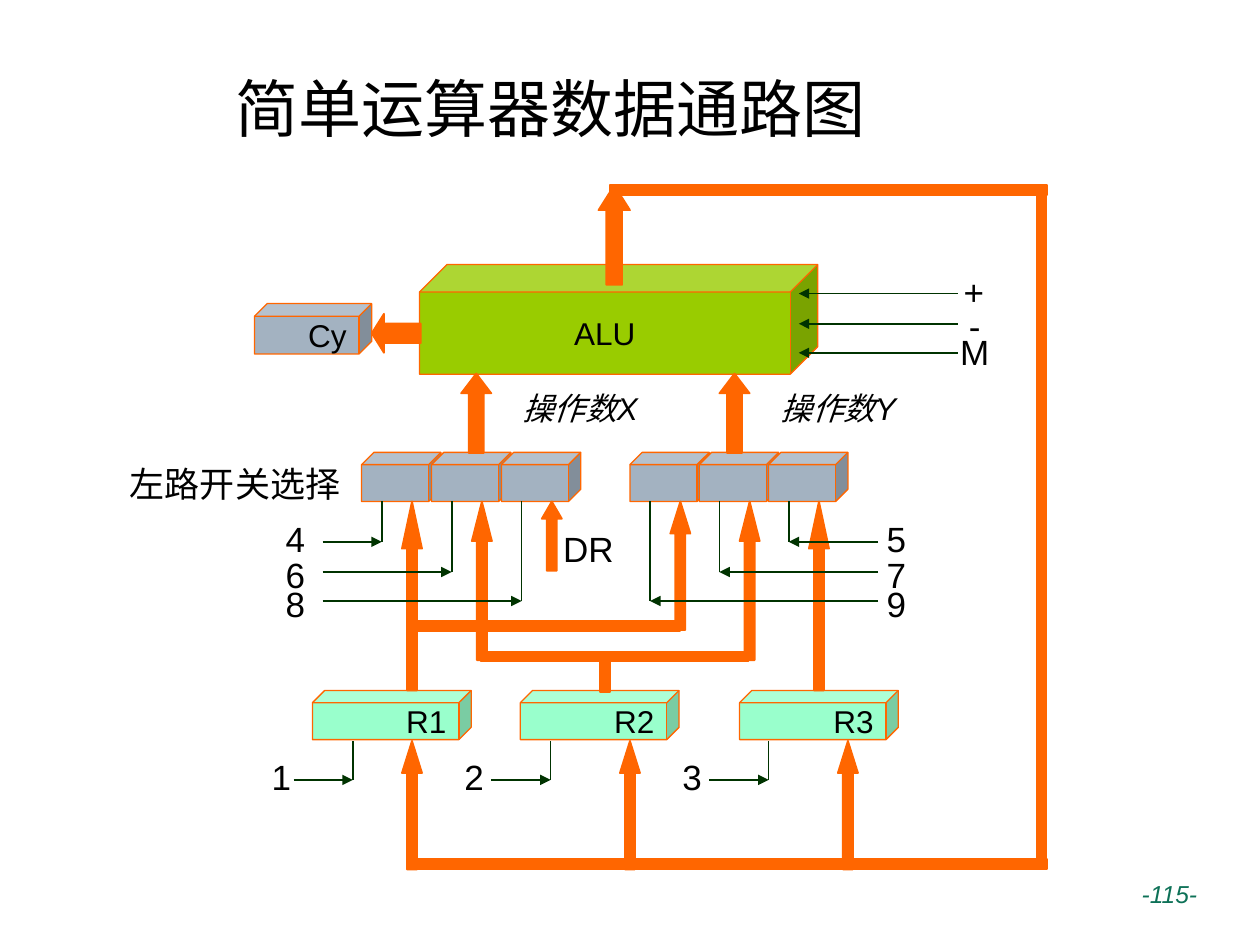
from dataclasses import dataclass

import pptx
import pptx.dml.color
import pptx.enum.shapes
import pptx.enum.text
import pptx.oxml.ns
import pptx.util
from lxml import etree

COLUMNS, ROWS = 100, 75
COLORS = {
    "alu": "99CC00",
    "switch": "A3B2C1",
    "register": "99FFCC",
    "bus": "FF6600",
    "wire": "003300",
    "text": "000000",
    "page": "0D7157",
}
PRESET = pptx.enum.shapes.MSO_SHAPE
ALIGN = pptx.enum.text.PP_ALIGN
ANCHOR = pptx.enum.text.MSO_ANCHOR
CJK_FONT = "Noto Sans CJK JP"

presentation = pptx.Presentation()
presentation.slide_width = pptx.util.Inches(10)
presentation.slide_height = pptx.util.Inches(7.5)
slide = presentation.slides.add_slide(presentation.slide_layouts[6])
CELL_WIDTH = presentation.slide_width / COLUMNS
CELL_HEIGHT = presentation.slide_height / ROWS


@dataclass(frozen=True)
class Box:
    column: float
    row: float
    columns: float
    rows: float

    def emu(self) -> tuple[int, int, int, int]:
        return (round(self.column * CELL_WIDTH), round(self.row * CELL_HEIGHT),
                round(self.columns * CELL_WIDTH), round(self.rows * CELL_HEIGHT))


@dataclass(frozen=True)
class Block:
    box: Box
    color: str
    text: str = ""
    align: ALIGN = ALIGN.RIGHT


@dataclass(frozen=True)
class Control:
    label: str
    label_column: float
    label_row: float
    start: float
    end: float
    row: float
    top: float


def rgb(name: str) -> pptx.dml.color.RGBColor:
    return pptx.dml.color.RGBColor.from_string(COLORS[name])


def write(shape, text: str, *, size=20, color="text", font="Arial", italic=False,
          align=ALIGN.RIGHT, anchor=ANCHOR.TOP, wrap=False) -> None:
    frame = shape.text_frame
    frame.word_wrap = wrap
    frame.vertical_anchor = anchor
    paragraph = frame.paragraphs[0]
    paragraph.alignment = align
    run = paragraph.add_run()
    run.text = text
    run.font.size = pptx.util.Pt(size)
    run.font.name = font
    run.font.italic = italic
    run.font.color.rgb = rgb(color)
    east_asian = etree.SubElement(run.font._element, pptx.oxml.ns.qn("a:ea"))
    east_asian.set("typeface", CJK_FONT)


def label(box: Box, text: str, **text_format) -> None:
    write(slide.shapes.add_textbox(*box.emu()), text, **text_format)


def add_shape(preset: PRESET, box: Box, color: str, line_width: float):
    shape = slide.shapes.add_shape(preset, *box.emu())
    shape.shadow.inherit = False
    shape.fill.solid()
    shape.fill.fore_color.rgb = rgb(color)
    shape.line.color.rgb = rgb("bus")
    shape.line.width = pptx.util.Pt(line_width)
    return shape


def add_block(block: Block) -> None:
    shape = add_shape(PRESET.CUBE, block.box, block.color, 0.75)
    shape.adjustments[0] = 0.25
    if block.text:
        write(shape, block.text, size=18, align=block.align, anchor=ANCHOR.MIDDLE)


def add_arrow(box: Box, preset: PRESET = PRESET.UP_ARROW) -> None:
    shape = add_shape(preset, box, "bus", 1)
    shape.adjustments[0] = 0.5
    shape.adjustments[1] = 0.25 * max(box.columns, box.rows) / min(box.columns, box.rows)


def add_wire(start: tuple[float, float], end: tuple[float, float], arrow: bool = False) -> None:
    points = [round(value * cell) for point in (start, end)
              for value, cell in zip(point, (CELL_WIDTH, CELL_HEIGHT))]
    wire = slide.shapes.add_connector(pptx.enum.shapes.MSO_CONNECTOR.STRAIGHT, *points)
    wire.line.color.rgb = rgb("wire")
    wire.line.width = pptx.util.Pt(1)
    if arrow:
        tail = etree.SubElement(wire.line._get_or_add_ln(), pptx.oxml.ns.qn("a:tailEnd"))
        tail.set("type", "triangle")
    etree.SubElement(wire._element.spPr, pptx.oxml.ns.qn("a:effectLst"))


def add_control(control: Control) -> None:
    corner = (control.end, control.row)
    add_wire((control.start, control.row), corner, arrow=True)
    add_wire(corner, (control.end, control.top))
    label(Box(control.label_column, control.label_row, 3.6, 4.3), control.label)


SWITCH_BOTTOM = 39.8
REGISTER_BOTTOM = 58.8
left_switches = [28.7 + 5.55 * index for index in range(3)]
right_switches = [50 + 5.5 * index for index in range(3)]
register_columns = (24.8, 41.3, 58.7)
load_columns = [31.9 + 17.3 * index for index in range(3)]

blocks = [
    Block(Box(33.3, 21, 31.6, 8.7), "alu", "ALU", ALIGN.CENTER),
    Block(Box(20.2, 24.1, 9.3, 4), "switch", "Cy"),
    *(Block(Box(column, 35.9, 6.3, 3.9), "switch")
      for column in left_switches + right_switches),
    *(Block(Box(column, 54.8, 12.6, 3.9), "register", f"R{number}")
      for number, column in enumerate(register_columns, 1)),
]
for block in blocks:
    add_block(block)

add_arrow(Box(29.5, 24.9, 3.9, 3.1), PRESET.LEFT_ARROW)
add_arrow(Box(47.5, 14.7, 2.5, 7.9))
for column in (36.6, 57.1):
    add_arrow(Box(column, 29.65, 2.4, 6.3))
for column, rows in zip(left_switches + right_switches, (15, 12.6, 5.5, 10.2, 12.6, 15)):
    add_arrow(Box(column + 3.2, SWITCH_BOTTOM, 1.6, rows))
for column in load_columns:
    add_arrow(Box(column, REGISTER_BOTTOM, 1.6, 10.2))

buses = (
    Box(48.4, 14.7, 34.7, 0.8),
    Box(82.25, 15.45, 0.8, 52.7),
    Box(32.7, 68.2, 50.4, 0.8),
    Box(32.7, 49.3, 21.3, 0.8),
    Box(38.2, 51.7, 21.2, 0.8),
    Box(47.6, 51.7, 0.8, 3.2),
)
for bus in buses:
    add_shape(PRESET.RECTANGLE, bus, "bus", 1)

switch_rows = ((43, 40.6), (45.4, 43.4), (47.7, 45.7))
for (row, label_row), left, right, left_name, right_name in zip(
        switch_rows, left_switches, reversed(right_switches), "468", "579"):
    add_control(Control(left_name, 21.6, label_row, 25.6, left + 1.6, row, SWITCH_BOTTOM))
    add_control(Control(right_name, 69.3, label_row, 69.7, right + 1.6, row, SWITCH_BOTTOM))
for name, label_column, end in zip("123", (20.5, 35.8, 53.1), (28, 43.7, 61)):
    add_control(Control(name, label_column, 59.5, end - 4.7, end, 61.9, REGISTER_BOTTOM))

for text, column, label_row, columns, wire_row in (
        ("+", 75.5, 21, 3.6, 23.3), ("-", 75.9, 23.7, 2.9, 25.7), ("M", 75.2, 25.7, 4.3, 28)):
    add_wire((76, wire_row), (63.4, wire_row), arrow=True)
    label(Box(column, label_row, columns, 4.3), text)

for text, column in (("操作数X", 37.4), ("操作数Y", 57.9)):
    label(Box(column, 30.4, 14.2, 4), text, size=18, italic=True, wrap=True)
label(Box(9.3, 36.2, 18.7, 4.3), "左路开关选择")
label(Box(43.7, 41.4, 6, 4.3), "DR")
label(Box(17.7, 3.6, 70.9, 9.9), "简单运算器数据通路图", size=36, font=CJK_FONT,
      align=ALIGN.LEFT, anchor=ANCHOR.MIDDLE, wrap=True)
label(Box(84.9, 69.3, 11.1, 5.2), "-115-", size=14, color="page", italic=True, wrap=True)

presentation.save("out.pptx")
